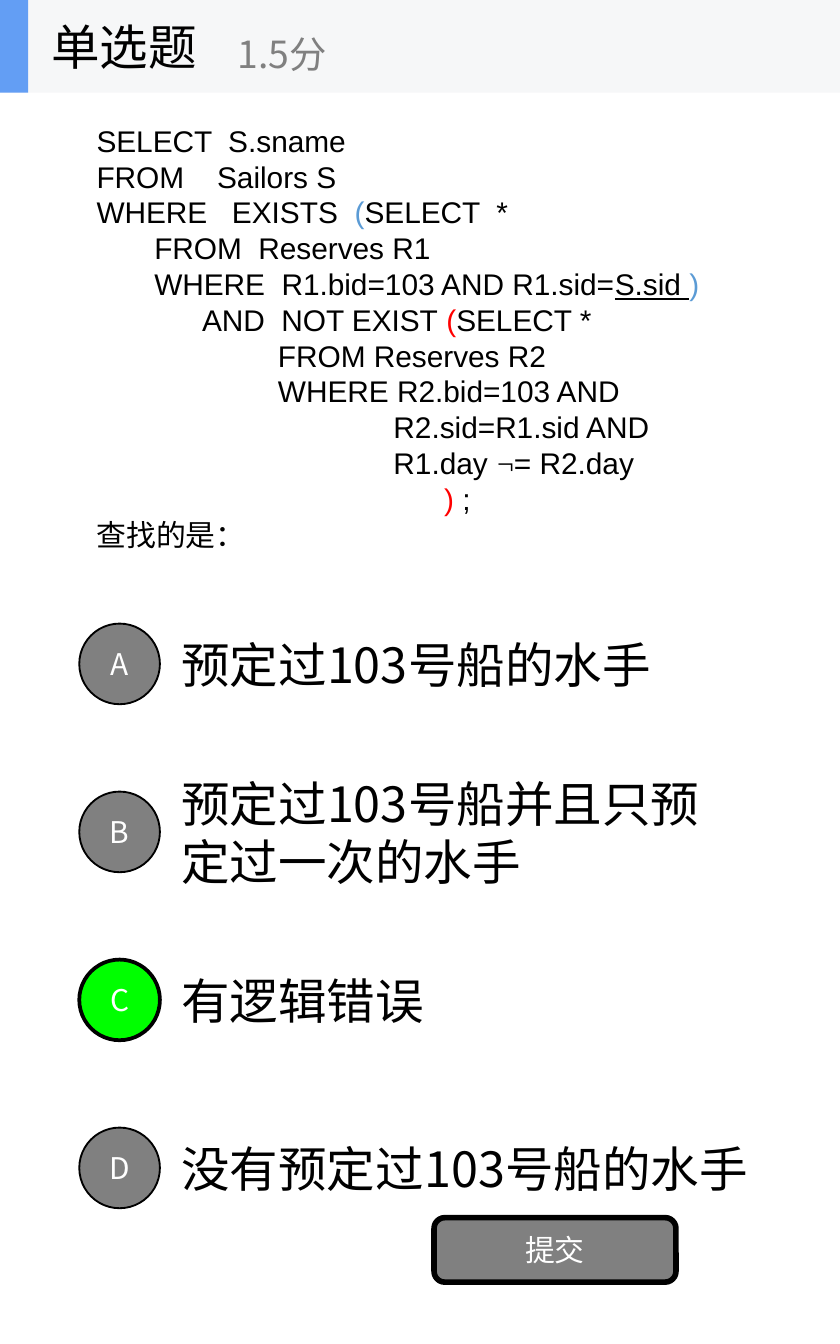
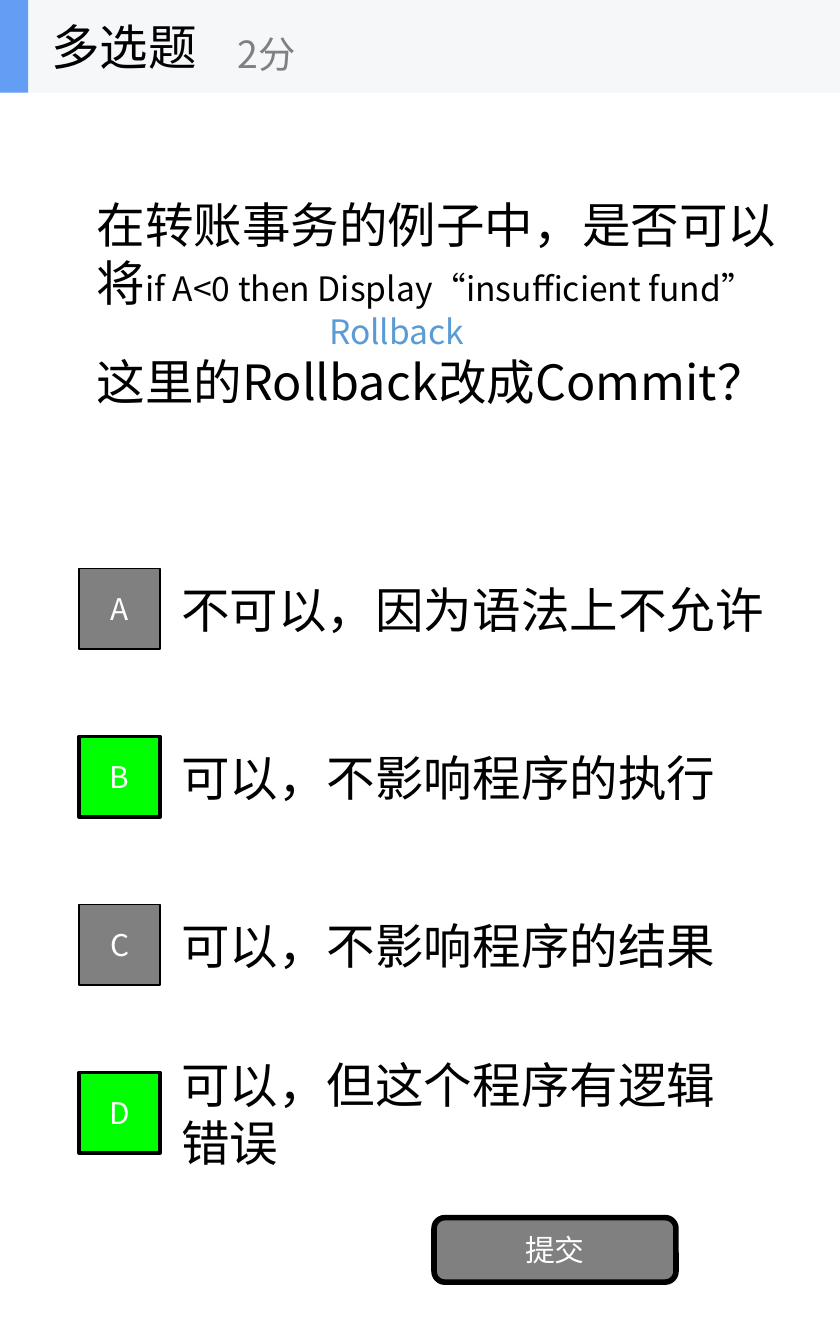
from lxml.etree import SubElement
from pptx import Presentation
from pptx.dml.color import RGBColor
from pptx.enum.shapes import MSO_SHAPE
from pptx.enum.text import MSO_ANCHOR, PP_ALIGN
from pptx.oxml.ns import qn
from pptx.util import Inches, Pt

COLORS = {
    "ink": "000000",
    "paper": "FFFFFF",
    "grey": "808080",
    "correct": "00FF00",
    "band": "F6F7F8",
    "accent": "639EF4",
    "blue": "5B9BD5",
    "red": "FF0000",
}
SANS = "Noto Sans CJK SC"
CODE = "Arial"
SYMBOL = "Times New Roman"
LINE_FACTOR = 1.2
OPTION_STEP = 1.25
TITLE_LAYOUT = 5

SQL = [
    "SELECT  S.sname",
    "FROM    Sailors S",
    ["WHERE   EXISTS  ", ("(", {"color": "blue"}), "SELECT  *"],
    "       FROM  Reserves R1",
    ["       WHERE  R1.bid=103 AND R1.sid=", ("S.sid ", {"underline": True}), (")", {"color": "blue"})],
    ["             AND  NOT EXIST ", ("(", {"color": "red"}), "SELECT *"],
    "                      FROM Reserves R2",
    "                      WHERE R2.bid=103 AND",
    "                                    R2.sid=R1.sid AND",
    ["                                    R1.day ", ("¬", {"name": SYMBOL}), "= R2.day"],
    ["                                          ", (") ", {"color": "red"}), ";"],
    "查找的是：",
]


class QuizDeck:
    def __init__(self):
        self.deck = Presentation()
        self.deck.slide_width = Inches(6.25)
        self.deck.slide_height = Inches(10)
        self.page = None

    def color(self, name):
        return RGBColor.from_string(COLORS[name])

    def style(self, font, size=None, color=None, name=None, underline=None):
        if size:
            font.size = Pt(size)
        if color:
            font.color.rgb = self.color(color)
        if name:
            font.name = name
            SubElement(font._rPr, qn("a:ea"), typeface=SANS)
        if underline:
            font.underline = True

    def fill_para(self, para, content, size, color="ink", name=SANS, align=PP_ALIGN.LEFT):
        para.alignment = align
        para.line_spacing = Pt(round(size * LINE_FACTOR, 1))
        self.style(para.font, size, color, name)
        for part in [content] if isinstance(content, str) else content:
            text, changes = (part, {}) if isinstance(part, str) else part
            span = para.add_run()
            span.text = text
            self.style(span.font, **changes)

    def frame(self, box):
        frame = box.text_frame
        frame.word_wrap = True
        frame.vertical_anchor = MSO_ANCHOR.MIDDLE
        return frame

    def text(self, left, top, width, height, lines, size, **look):
        box = self.page.shapes.add_textbox(Inches(left), Inches(top), Inches(width), Inches(height))
        frame = self.frame(box)
        for number, line in enumerate(lines):
            para = frame.add_paragraph() if number else frame.paragraphs[0]
            self.fill_para(para, line, size, **look)
        return frame

    def shape(self, kind, left, top, width, height, fill, border=0, label=None):
        box = self.page.shapes.add_shape(kind, Inches(left), Inches(top), Inches(width), Inches(height))
        box.shadow.inherit = False
        box.fill.solid()
        box.fill.fore_color.rgb = self.color(fill)
        if border:
            box.line.color.rgb = self.color("ink")
            box.line.width = Pt(border)
        else:
            box.line.fill.background()
        if label:
            para = self.frame(box).paragraphs[0]
            self.fill_para(para, label, 16, "paper", align=PP_ALIGN.CENTER)
        return box

    def question(self, title, points):
        self.page = self.deck.slides.add_slide(self.deck.slide_layouts[TITLE_LAYOUT])
        self.shape(MSO_SHAPE.RECTANGLE, 0, 0, 6.25, 0.69, "band")
        accent = self.shape(MSO_SHAPE.RECTANGLE, 0, 0, 0.21, 0.69, "accent")
        heading = self.page.shapes.title
        accent.element.addnext(heading.element)
        heading.left, heading.top = Inches(0.28), Inches(0)
        heading.width, heading.height = Inches(2.08), Inches(0.69)
        self.fill_para(self.frame(heading).paragraphs[0], title, 26)
        self.text(1.67, 0.12, 2.5, 0.56, [points], 20, color="grey")

    def options(self, kind, top, answers, correct):
        for number, (answer, width) in enumerate(answers):
            letter = "ABCD"[number]
            row = top + number * OPTION_STEP
            right = letter in correct
            self.text(1.25, row, width, 0.94, [answer], 26)
            self.shape(kind, 0.59, row + 0.17, 0.6, 0.6, "correct" if right else "grey",
                       2 if right else 1, letter)

    def submit_button(self):
        self.shape(MSO_SHAPE.ROUNDED_RECTANGLE, 3.23, 9.06, 1.8, 0.48, "grey", 3, "提交")


def single_choice(quiz):
    quiz.question("单选题", "1.5分")
    quiz.text(0.62, 0.69, 5, 3.64, SQL, 16, name=CODE)
    answers = [
        ("预定过103号船的水手", 4.38),
        ("预定过103号船并且只预定过一次的水手", 4.38),
        ("有逻辑错误", 4.38),
        ("没有预定过103号船的水手", 4.51),
    ]
    quiz.options(MSO_SHAPE.OVAL, 4.47, answers, "C")
    quiz.submit_button()


def multiple_choice(quiz):
    quiz.question("多选题", "2分")
    opening = ["在转账事务的例子中，是否可以将", ("if A<0 then Display“insufficient fund”", {"size": 18})]
    frame = quiz.text(0.62, 0.69, 5.49, 3.12, [opening], 26)
    rollback = frame.add_paragraph()
    rollback._p.get_or_add_pPr().set("marL", str(Inches(1.73)))
    quiz.fill_para(rollback, "Rollback", 18, "blue")
    quiz.fill_para(frame.add_paragraph(), "这里的Rollback改成Commit？", 26)
    answers = [
        ("不可以，因为语法上不允许", 4.61),
        ("可以，不影响程序的执行", 4.38),
        ("可以，不影响程序的结果", 4.38),
        ("可以，但这个程序有逻辑错误", 4.38),
    ]
    quiz.options(MSO_SHAPE.RECTANGLE, 4.06, answers, "BD")
    quiz.submit_button()


def main():
    quiz = QuizDeck()
    single_choice(quiz)
    multiple_choice(quiz)
    quiz.deck.save("out.pptx")


if __name__ == "__main__":
    main()
